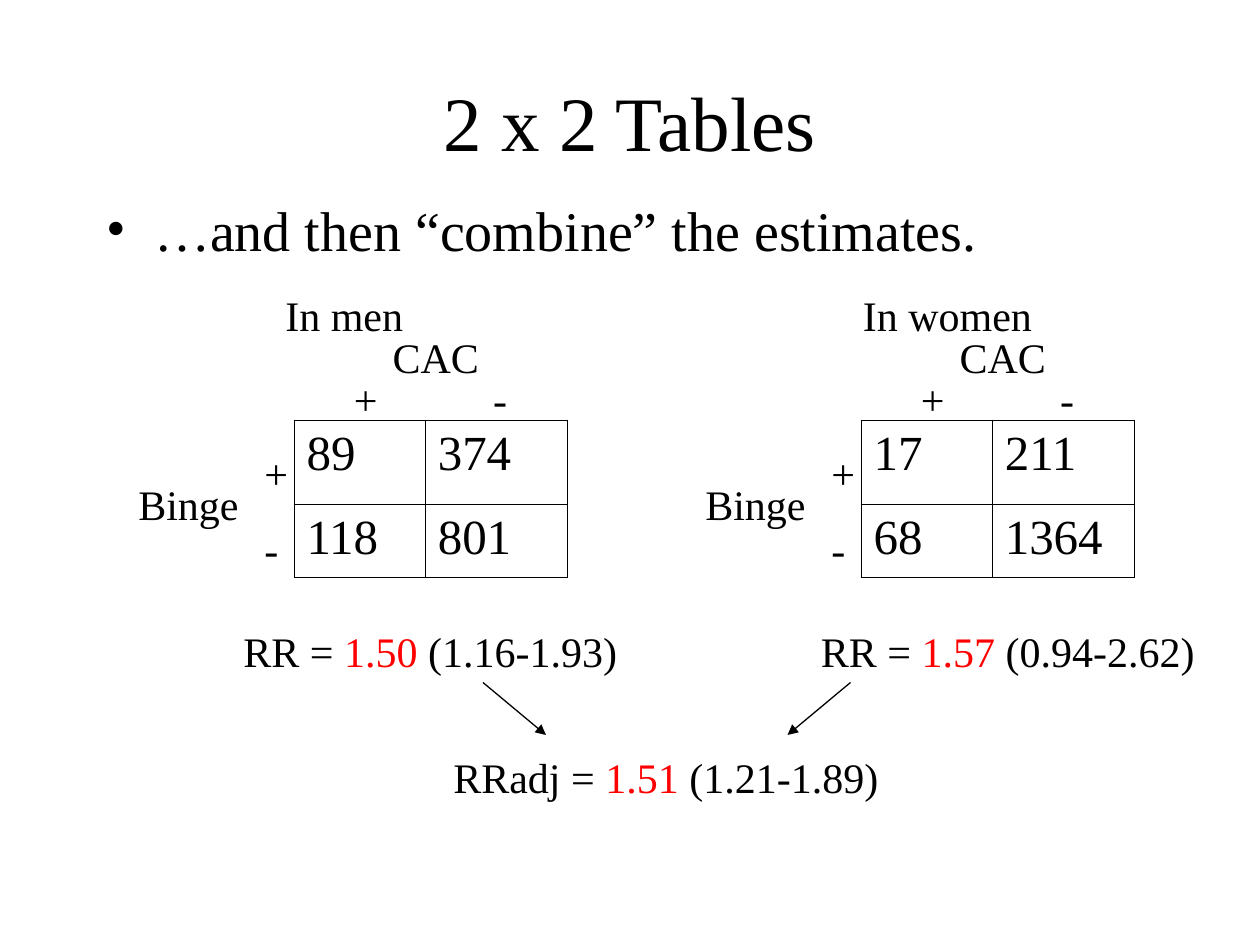
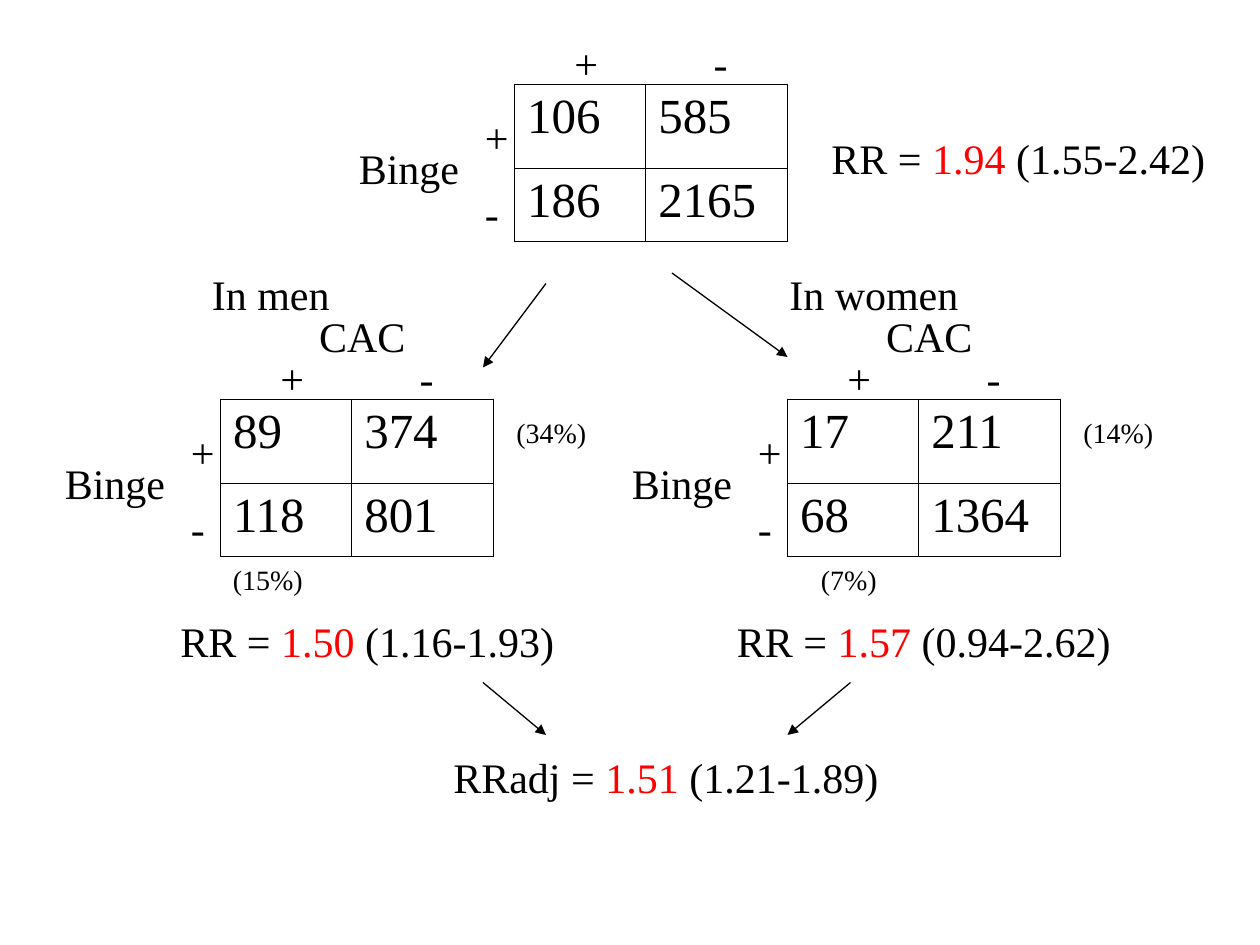
from dataclasses import dataclass

from lxml import etree
from pptx import Presentation
from pptx.dml.color import RGBColor
from pptx.enum.shapes import MSO_CONNECTOR
from pptx.enum.text import MSO_ANCHOR, MSO_AUTO_SIZE, PP_ALIGN
from pptx.oxml.ns import qn
from pptx.util import Pt

LEFT, CENTER = PP_ALIGN.LEFT, PP_ALIGN.CENTER
MIDDLE = MSO_ANCHOR.MIDDLE
GROW, FIXED = MSO_AUTO_SIZE.SHAPE_TO_FIT_TEXT, MSO_AUTO_SIZE.NONE
LINE = MSO_CONNECTOR.STRAIGHT


@dataclass(frozen=True)
class Theme:
    """Colours, type sizes and line widths of the deck."""
    font: str = "Times New Roman"
    ink: str = "000000"
    mark: str = "FF0000"
    title: int = 44
    body: int = 32
    cell: int = 28
    label: int = 24
    note: int = 16
    gap: int = 15
    rule: float = 0.45
    arrow: float = 0.75


THEME = Theme()

# Content: counts by exposure row, then the risk ratio and its interval
MEN = {"name": "In men", "rows": [("89", "374"), ("118", "801")],
       "ratio": ("1.50", "(1.16-1.93)"), "shares": ("(34%)", "(15%)")}
WOMEN = {"name": "In women", "rows": [("17", "211"), ("68", "1364")],
         "ratio": ("1.57", "(0.94-2.62)"), "shares": ("(14%)", "(7%)")}
ALL = {"name": "", "rows": [("106", "585"), ("186", "2165")],
       "ratio": ("1.94", "(1.55-2.42)")}
POOLED = ("1.51", "(1.21-1.89)")
TITLE = "2 x 2 Tables"
POINT = "…and then “combine” the estimates."

# Layout: places in points; name and ratio are offsets from the table corner
COLS, ROWS = (75, 81), (48, 42)
WIDE, HIGH = sum(COLS), sum(ROWS)
FIRST = [(MEN, (168, 240), -12, (-36, 114)),
         (WOMEN, (492, 240), -6, (-30, 114))]
SECOND = [(ALL, (294, 48), 0, (174, 24)),
          (MEN, (126, 228), -12, (-30, 120)),
          (WOMEN, (450, 228), -6, (-36, 120))]
SHARES = [(MEN, (126, 228), 0), (WOMEN, (450, 228), 12)]
SPLIT = [(312, 162, 276, 210), (384, 156, 450, 204)]
MERGE = [(276, 390, 312, 420), (486, 390, 450, 420)]


def style(par, size, gap=0, align=LEFT):
    """Format a paragraph and all its runs."""
    par.alignment = align
    par.space_before = Pt(gap)
    for run in par.runs:
        run.font.name = THEME.font
        run.font.size = Pt(size)
        run.font.color.rgb = RGBColor.from_string(THEME.ink)


def add_text(slide, text, x, y, w, h=36, size=THEME.label, gap=THEME.gap,
             align=LEFT, fit=GROW):
    """Add a text box, one paragraph to a line, and return it."""
    box = slide.shapes.add_textbox(Pt(x), Pt(y), Pt(w), Pt(h))
    frame = box.text_frame
    frame.text = text
    frame.word_wrap = True
    frame.auto_size = fit
    for par in frame.paragraphs:
        style(par, size, gap, align)
    return box


def add_ratio(slide, name, ratio, x, y, w=240):
    """Add a ratio line with its estimate in the mark colour."""
    box = add_text(slide, f"{name} = ", x, y, w)
    par = box.text_frame.paragraphs[0]
    for part in (ratio[0], f" {ratio[1]}"):
        par.add_run().text = part
    style(par, THEME.label, THEME.gap)
    par.runs[1].font.color.rgb = RGBColor.from_string(THEME.mark)


def add_edges(cell):
    """Draw the four borders of a cell."""
    props = cell._tc.get_or_add_tcPr()
    for spot, side in enumerate(("lnL", "lnR", "lnT", "lnB")):
        edge = etree.Element(qn(f"a:{side}"), w=str(Pt(THEME.rule)))
        fill = etree.SubElement(edge, qn("a:solidFill"))
        etree.SubElement(fill, qn("a:srgbClr"), val=THEME.ink)
        props.insert(spot, edge)


def add_grid(slide, rows, x, y):
    """Add a plain two by two table."""
    grid = slide.shapes.add_table(2, 2, Pt(x), Pt(y), Pt(WIDE), Pt(HIGH)).table
    grid.first_row = grid.horz_banding = False
    for i in range(2):
        grid.columns[i].width = Pt(COLS[i])
        grid.rows[i].height = Pt(ROWS[i])
        for j in range(2):
            cell = grid.cell(i, j)
            cell.text = rows[i][j]
            cell.fill.background()
            add_edges(cell)
            style(cell.text_frame.paragraphs[0], THEME.cell, 7)


def add_signs(slide, x, y):
    """Head the columns with plus and minus, set apart by a tab stop."""
    box = add_text(slide, "+\t-", x, y, WIDE)
    box.text_frame.margin_left = Pt(34.25)
    props = box.text_frame.paragraphs[0]._p.get_or_add_pPr()
    tabs = etree.SubElement(props, qn("a:tabLst"))
    etree.SubElement(tabs, qn("a:tab"), pos=str(Pt(79.5)), algn="l")


def add_group(slide, group, spot, shift, ratio):
    """Add a table with its labels and its risk ratio."""
    x, y = spot
    add_grid(slide, group["rows"], x, y)
    if group["name"]:
        add_text(slide, group["name"], x + shift, y - 78, 138)
        add_text(slide, "CAC", x + 12, y - 54, 138, align=CENTER)
    add_text(slide, "Binge", x - 96, y + 30, 78)
    add_signs(slide, x, y - 30)
    add_text(slide, "+\n-", x - 24, y + 12, 42, 80)
    add_ratio(slide, "RR", group["ratio"], x + ratio[0], y + ratio[1])


def add_arrow(slide, ends):
    """Add a line with an arrowhead at its end."""
    line = slide.shapes.add_connector(LINE, *map(Pt, ends))
    line.line.width = Pt(THEME.arrow)
    line.line.color.rgb = RGBColor.from_string(THEME.ink)
    etree.SubElement(line.line._get_or_add_ln(), qn("a:tailEnd"),
                     type="triangle")
    etree.SubElement(line._element.spPr, qn("a:effectLst"))


def add_slide(deck, groups, arrows):
    """Add a slide of groups that lead to the pooled ratio."""
    slide = deck.slides.add_slide(deck.slide_layouts[6])
    for group in groups:
        add_group(slide, *group)
    for ends in arrows:
        add_arrow(slide, ends)
    add_ratio(slide, "RRadj", POOLED, 252, 426, 270)
    return slide


def add_head(slide):
    """Add the title and the bullet point."""
    head = add_text(slide, TITLE, 54, 24, 612, 90, THEME.title, 0, CENTER,
                    FIXED)
    head.text_frame.vertical_anchor = MIDDLE
    point = add_text(slide, POINT, 54, 108, 612, 372, THEME.body, 8,
                     fit=FIXED)
    props = point.text_frame.paragraphs[0]._p.get_or_add_pPr()
    props.set("marL", str(Pt(27)))
    props.set("indent", str(Pt(-27)))
    etree.SubElement(props, qn("a:buFont"), typeface=THEME.font)
    etree.SubElement(props, qn("a:buChar"), char="•")


def add_shares(slide):
    """Add the exposed and diseased shares beside the tables."""
    for group, (x, y), shift in SHARES:
        spots = ((x + WIDE + 6, y + 6), (x + shift, y + HIGH))
        for text, (left, top) in zip(group["shares"], spots):
            add_text(slide, text, left, top, 57, 26.4, THEME.note, 0)


def main():
    """Build and save the deck."""
    deck = Presentation()
    deck.slide_width, deck.slide_height = Pt(720), Pt(540)
    add_head(add_slide(deck, FIRST, MERGE))
    add_shares(add_slide(deck, SECOND, SPLIT + MERGE))
    deck.save("out.pptx")


main()
